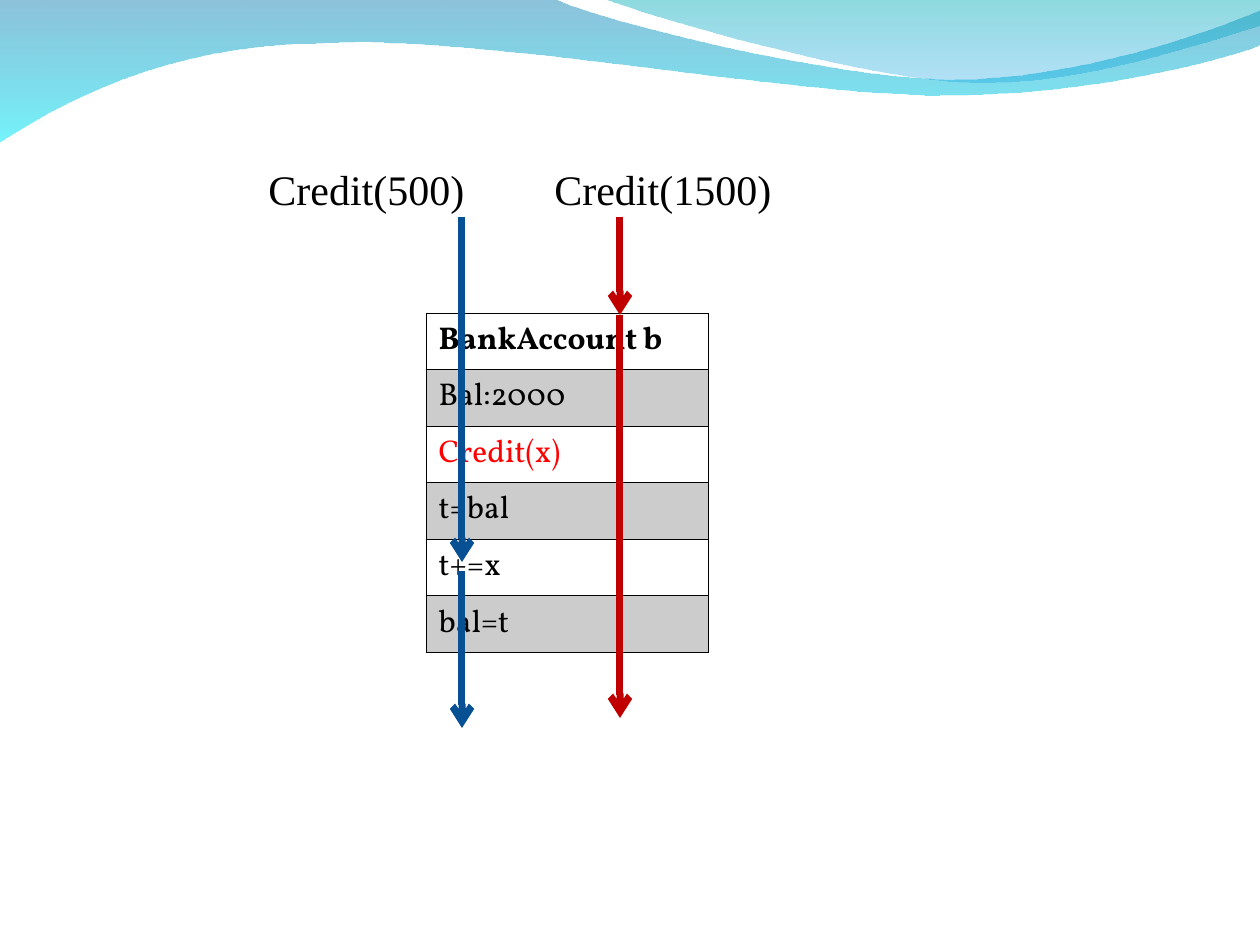
from lxml import etree
from pptx import Presentation
from pptx import util as u
from pptx.dml.color import RGBColor
from pptx.enum import shapes, text
from pptx.oxml.ns import qn

PX = 914400 / 126
BLACK = RGBColor(0x00, 0x00, 0x00)
RED = RGBColor(0xFF, 0x00, 0x00)
BLUE = RGBColor(0x06, 0x50, 0x93)
DARK_RED = RGBColor(0xC0, 0x00, 0x00)
STEEL = RGBColor(0x00, 0x79, 0xAF)
CYAN = RGBColor(0x00, 0xEB, 0xF8)
TEAL = RGBColor(0x00, 0xAD, 0xB6)
SKY = RGBColor(0x00, 0x9B, 0xE5)


def write(frame, words, font="Vollkorn", size=18, color=BLACK, bold=False):
    frame.word_wrap = True
    run = frame.paragraphs[0].add_run()
    run.text = words
    run.font.name = font
    run.font.size = u.Pt(size)
    run.font.color.rgb = color
    run.font.bold = bold


def fade(node, *levels):
    """Give the RGB colours under node these opacities, in percent."""
    for tone, level in zip(node.iter(qn("a:srgbClr")), levels):
        etree.SubElement(tone, qn("a:alpha"), val=str(level * 1000))


deck = Presentation()
deck.slide_width = round(1260 * PX)
deck.slide_height = round(945 * PX)
slide = deck.slides.add_slide(deck.slide_layouts[6])

# Waves: a start, then parts; one point is a line's end, three are a Bézier curve
waves = [
    ((0, -1),
     [[(554, -1)],
      [(600, 21), (837, 79), (955, 79)],
      [(1075, 79), (1207, 33), (1260, 11)],
      [(1261, 45)],
      [(1239, 55), (1096, 96), (940, 95)],
      [(784, 95), (481, 35), (324, 43)],
      [(163, 44), (58, 105), (-1, 142)]],
     [(STEEL, 45), (CYAN, 55)]),
    ((604, -1),
     [[(641, 14), (859, 78), (969, 82)],
      [(1079, 87), (1211, 40), (1260, 26)],
      [(1260, 0)]],
     [(TEAL, 45), (SKY, 30)]),
]
for start, parts, tones in waves:
    pen = slide.shapes.build_freeform(*start, scale=PX)
    pen.add_line_segments([dot for part in parts for dot in part], close=True)
    wave = pen.convert_to_shape()

    # Join the three lines of each curve into one Bézier segment
    lines = iter(list(wave.element.iter(qn("a:lnTo"))))
    for part in parts:
        group = [next(lines) for dot in part]
        if len(group) == 3:
            curve = etree.Element(qn("a:cubicBezTo"))
            group[0].addprevious(curve)
            for line in group:
                curve.append(line[0])
                line.getparent().remove(line)

    wave.shadow.inherit = False
    wave.line.fill.background()
    wave.fill.gradient()
    wave.fill.gradient_angle = 270
    for stop, spot, (color, level) in zip(wave.fill.gradient_stops, (0, 1), tones):
        stop.position = spot
        stop.color.rgb = color
    fade(wave.element.spPr, *[level for color, level in tones])

# Account table
rows = [("BankAccount b", BLACK), ("Bal:2000", BLACK), ("Credit(x)", RED),
        ("t=bal", BLACK), ("t+=x", BLACK), ("bal=t", BLACK)]
box = [round(n * PX) for n in (426, 313, 282, 51 * len(rows))]
table = slide.shapes.add_table(len(rows), 1, *box).table
table.first_row = False
table.horz_banding = False
for i, (words, color) in enumerate(rows):
    cell = table.cell(i, 0)
    if i % 2:
        cell.fill.solid()
        cell.fill.fore_color.rgb = BLACK
        fade(cell._tc, 20)
    else:
        cell.fill.background()
    props = cell._tc.get_or_add_tcPr()
    for n, side in enumerate(("L", "R", "T", "B")):
        thick = (i, side) in ((0, "B"), (1, "T"))
        edge = etree.Element(qn("a:ln" + side), w=str(u.Pt(0.96 if thick else 0.45)))
        ink = etree.SubElement(edge, qn("a:solidFill"))
        etree.SubElement(ink, qn("a:srgbClr"), val=str(BLACK))
        props.insert(n, edge)
    write(cell.text_frame, words, color=color, bold=i == 0)

# Thread arrows and call labels
arrows = [(462, 217, 562, BLUE), (620, 217, 315, DARK_RED),
          (462, 571, 728, BLUE), (620, 315, 718, DARK_RED)]
labels = [(542, "Credit(1500)"), (256, "Credit(500)")]
for i, (x, top, end, color) in enumerate(arrows):
    if i == 2:
        for left, words in labels:
            box = [round(n * PX) for n in (left, 157, 295, 63)]
            label = slide.shapes.add_textbox(*box).text_frame
            write(label, words, font="Times New Roman", size=24)
            label.auto_size = text.MSO_AUTO_SIZE.SHAPE_TO_FIT_TEXT
    ends = [round(n * PX) for n in (x, top, x, end)]
    arrow = slide.shapes.add_connector(shapes.MSO_CONNECTOR.STRAIGHT, *ends)
    arrow.line.color.rgb = color
    arrow.line.width = u.Pt(4)
    etree.SubElement(arrow.line._get_or_add_ln(), qn("a:tailEnd"), type="arrow")
    etree.SubElement(arrow._element.spPr, qn("a:effectLst"))

deck.save("out.pptx")
